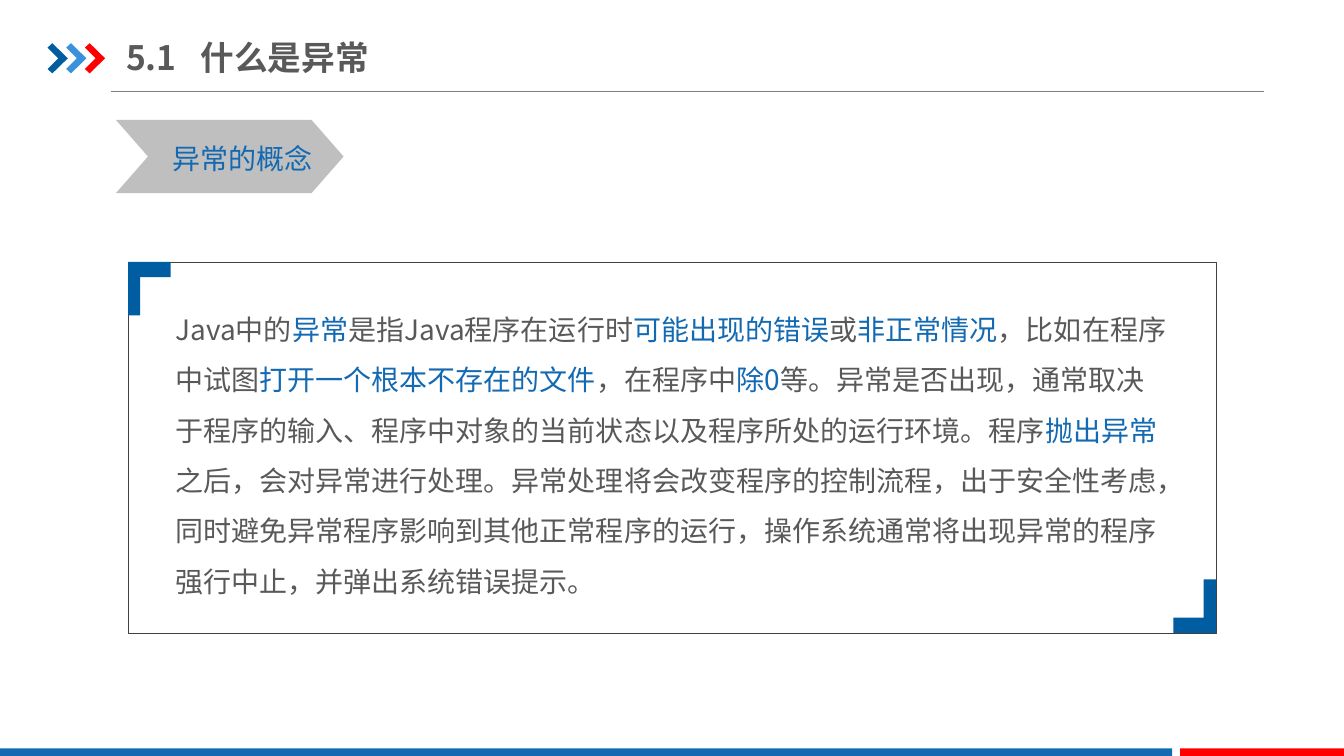
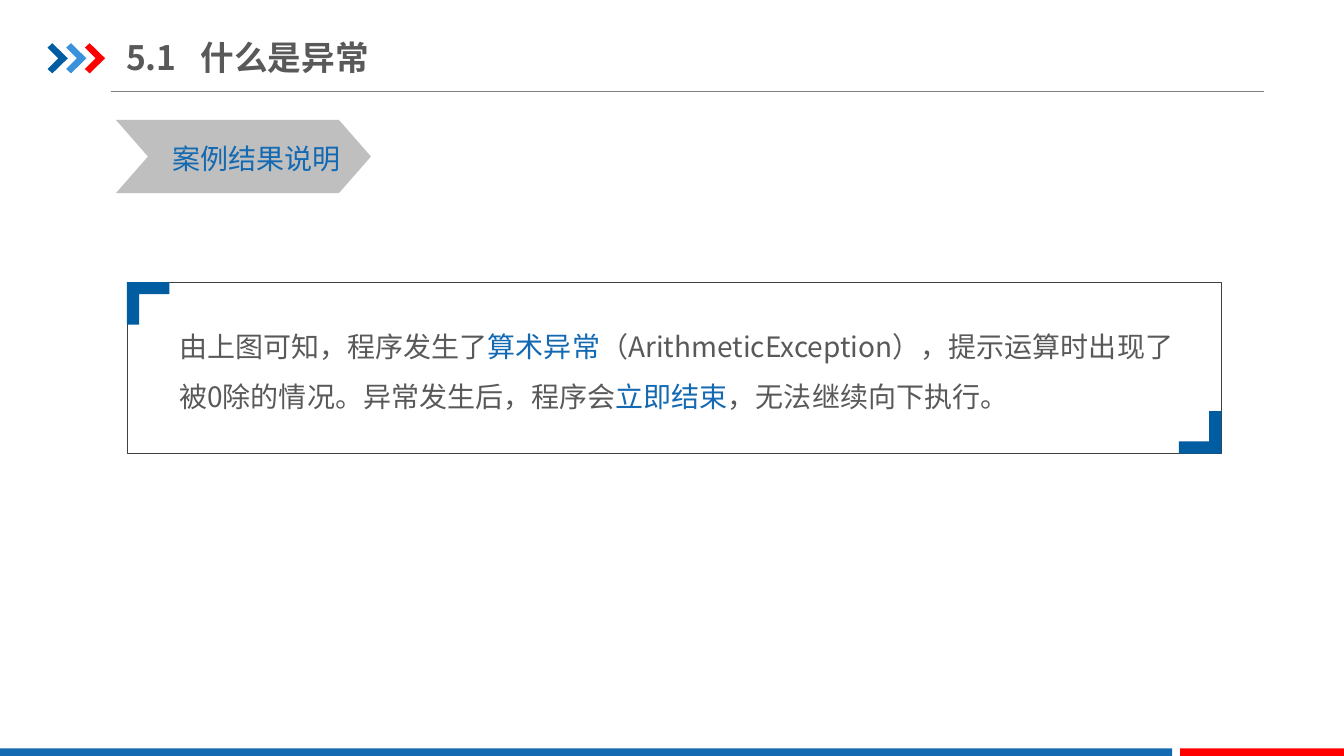
"""Builds two lecture slides that introduce exceptions in Java."""
from dataclasses import dataclass

from lxml.etree import SubElement
from pptx import Presentation
from pptx.dml.color import RGBColor
from pptx.enum.shapes import MSO_CONNECTOR, MSO_SHAPE
from pptx.enum.text import MSO_ANCHOR, MSO_AUTO_SIZE
from pptx.oxml.ns import qn
from pptx.shapes.autoshape import Shape
from pptx.slide import Slide
from pptx.text.text import _Paragraph as Paragraph
from pptx.util import Cm, Pt

NAVY = RGBColor(0x00, 0x5D, 0xA2)
SKY = RGBColor(0x39, 0x92, 0xDB)
RED = RGBColor(0xFF, 0x00, 0x00)
BLUE = RGBColor(0x13, 0x69, 0xB2)
TEXT_GRAY = RGBColor(0x59, 0x59, 0x59)
RULE_GRAY = RGBColor(0x80, 0x80, 0x80)
TAG_GRAY = RGBColor(0xBF, 0xBF, 0xBF)
FRAME_GRAY = RGBColor(0x40, 0x40, 0x40)

FONT = "Noto Sans CJK SC"
SLIDE_WIDTH, SLIDE_HEIGHT = 33.87, 19.05
SECTION_NUMBER, SECTION_NAME = "5.1", "什么是异常"
SECTION_TAB = 1.88
ARROW_OUTLINE = ((0, 0.11), (0.12, 0), (0.51, 0.38), (0.12, 0.76), (0, 0.65), (0.27, 0.38))
ARROW_STEP = 0.47
CORNER_THICKNESS = 0.285
ACCENT_MARK = "*"


@dataclass(frozen=True)
class Box:
    """A rectangle in centimetres."""
    left: float
    top: float
    width: float
    height: float

    def lengths(self) -> tuple[Cm, Cm, Cm, Cm]:
        """Return the rectangle as lengths for python-pptx."""
        return Cm(self.left), Cm(self.top), Cm(self.width), Cm(self.height)


@dataclass(frozen=True)
class Topic:
    """One slide: its tag, its framed text and the corner height."""
    tag: str
    tag_width: float
    label_width: float
    frame: Box
    corner_height: float
    body: Box
    text: str


TOPICS = (
    Topic(
        "异常的概念", 5.74, 4.04,
        Box(3.23, 6.6, 27.41, 9.35), 1.35, Box(4.17, 7.32, 25.6, 7.95),
        "Java中的*异常*是指Java程序在运行时*可能出现的错误*或*非正常情况*，"
        "比如在程序中试图*打开一个根本不存在的文件*，在程序中*除0*等。"
        "异常是否出现，通常取决于程序的输入、程序中对象的当前状态以及程序所处的运行环境。"
        "程序*抛出异常*之后，会对异常进行处理。异常处理将会改变程序的控制流程，"
        "出于安全性考虑，同时避免异常程序影响到其他正常程序的运行，"
        "操作系统通常将出现异常的程序强行中止，并弹出系统错误提示。",
    ),
    Topic(
        "案例结果说明", 6.43, 4.75,
        Box(3.2, 7.11, 27.58, 4.32), 1.07, Box(4.27, 7.75, 25.6, 3.02),
        "由上图可知，程序发生了*算术异常*（ArithmeticException），"
        "提示运算时出现了被0除的情况。异常发生后，程序会*立即结束*，无法继续向下执行。",
    ),
)


def paint(shape: Shape, color: RGBColor) -> None:
    """Give a shape a plain fill without line or shadow."""
    shape.shadow.inherit = False
    shape.fill.solid()
    shape.fill.fore_color.rgb = color
    shape.line.fill.background()


def add_block(slide: Slide, kind: MSO_SHAPE, box: Box, color: RGBColor) -> Shape:
    """Add a plain filled preset shape."""
    block = slide.shapes.add_shape(kind, *box.lengths())
    paint(block, color)
    return block


def add_outline(slide: Slide, points: list[tuple[float, float]], color: RGBColor) -> None:
    """Add a closed filled outline through points in centimetres."""
    start, *others = [(Cm(x), Cm(y)) for x, y in points]
    builder = slide.shapes.build_freeform(*start)
    builder.add_line_segments(others, close=True)
    paint(builder.convert_to_shape(), color)


def set_font(paragraph: Paragraph, size: int, color: RGBColor, bold: bool = False) -> None:
    """Set the font of a whole paragraph, for Latin and Chinese text."""
    font = paragraph.font
    font.name, font.size, font.bold = FONT, Pt(size), bold
    font.color.rgb = color
    properties = paragraph._p.pPr.find(qn("a:defRPr"))
    SubElement(properties, qn("a:ea"), typeface=FONT)


def add_title(slide: Slide) -> None:
    """Add the section number and name, parted by a tab stop."""
    frame = slide.shapes.add_textbox(*Box(3.18, 0.74, 10.82, 1.4).lengths()).text_frame
    frame.word_wrap = True
    frame.vertical_anchor = MSO_ANCHOR.MIDDLE
    frame.margin_left = frame.margin_right = 0
    frame.margin_top = frame.margin_bottom = Cm(0.18)
    title = frame.paragraphs[0]
    title.add_run().text = f"{SECTION_NUMBER}\t{SECTION_NAME}"
    tabs = SubElement(title._p.get_or_add_pPr(), qn("a:tabLst"))
    SubElement(tabs, qn("a:tab"), pos=str(Cm(SECTION_TAB)), algn="l")
    set_font(title, 24, TEXT_GRAY, bold=True)


def add_theme(slide: Slide) -> None:
    """Add the header and footer that all slides share."""
    rule = slide.shapes.add_connector(
        MSO_CONNECTOR.STRAIGHT, Cm(2.79), Cm(2.31), Cm(31.85), Cm(2.31))
    rule.line.color.rgb = RULE_GRAY
    rule.line.width = Pt(0.75)
    SubElement(rule._element.spPr, qn("a:effectLst"))
    for index, color in enumerate((NAVY, SKY, RED)):
        left = 1.2 + index * ARROW_STEP
        add_outline(slide, [(left + x, 1.09 + y) for x, y in ARROW_OUTLINE], color)
    for left, width, color in ((0, 29.54, BLUE), (29.74, 4.13, RED)):
        add_block(slide, MSO_SHAPE.RECTANGLE, Box(left, 18.86, width, 0.19), color)
    add_title(slide)


def add_tag(slide: Slide, topic: Topic) -> None:
    """Add the chevron with the topic's name."""
    chevron = add_block(slide, MSO_SHAPE.CHEVRON, Box(2.92, 3.02, topic.tag_width, 1.85), TAG_GRAY)
    chevron.adjustments[0] = 0.438
    frame = slide.shapes.add_textbox(*Box(4.09, 3.43, topic.label_width, 1.12).lengths()).text_frame
    frame.word_wrap = False
    frame.auto_size = MSO_AUTO_SIZE.SHAPE_TO_FIT_TEXT
    label = frame.paragraphs[0]
    label.add_run().text = topic.tag
    set_font(label, 20, BLUE)


def add_body(slide: Slide, topic: Topic) -> None:
    """Add the explanation, with the marked words in the accent colour."""
    frame = slide.shapes.add_textbox(*topic.body.lengths()).text_frame
    frame.word_wrap = True
    explanation = frame.paragraphs[0]
    explanation.line_spacing = 1.5
    set_font(explanation, 20, TEXT_GRAY)
    for index, words in enumerate(topic.text.split(ACCENT_MARK)):
        run = explanation.add_run()
        run.text = words
        if index % 2:
            run.font.color.rgb = BLUE


def add_frame(slide: Slide, topic: Topic) -> None:
    """Add the thin frame and its two opposite corner marks."""
    box = topic.frame
    border = slide.shapes.add_shape(MSO_SHAPE.RECTANGLE, *box.lengths())
    border.shadow.inherit = False
    border.fill.background()
    border.line.color.rgb = FRAME_GRAY
    border.line.width = Pt(0.25)
    thin = CORNER_THICKNESS
    corner = ((0, 0), (1, 0), (1, thin), (thin, thin), (thin, 1), (0, 1))
    for x, y, sign in ((box.left, box.top, 1),
                       (box.left + box.width, box.top + box.height, -1)):
        add_outline(slide, [(x + sign * 1.07 * across, y + sign * topic.corner_height * down)
                            for across, down in corner], NAVY)


def main() -> None:
    """Build and save the presentation."""
    deck = Presentation()
    deck.slide_width, deck.slide_height = Cm(SLIDE_WIDTH), Cm(SLIDE_HEIGHT)
    for topic in TOPICS:
        slide = deck.slides.add_slide(deck.slide_layouts[6])
        add_theme(slide)
        add_tag(slide, topic)
        add_body(slide, topic)
        add_frame(slide, topic)
    deck.save("out.pptx")


if __name__ == "__main__":
    main()
